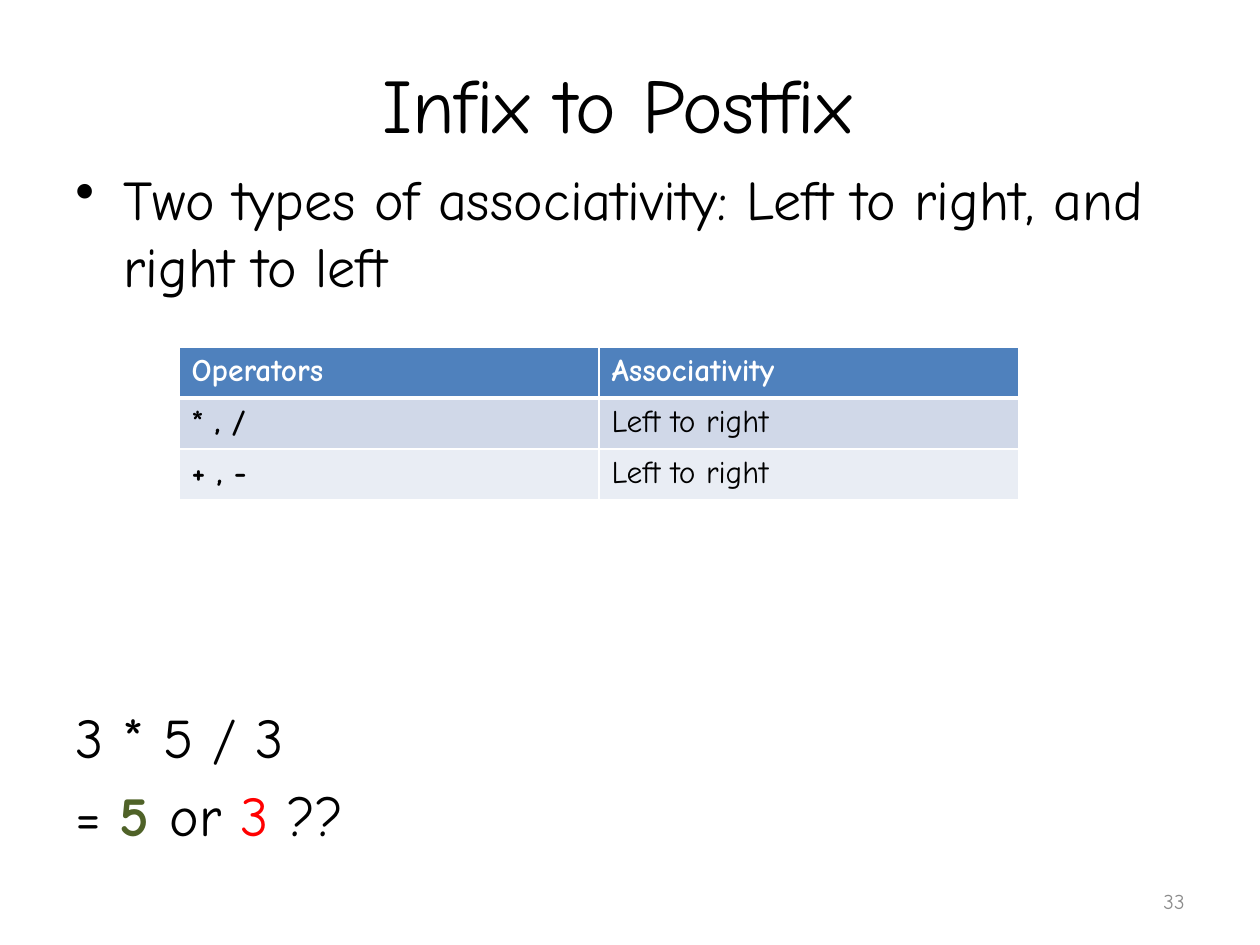
from dataclasses import dataclass

import lxml.etree
import pptx
import pptx.dml.color
import pptx.enum.text
import pptx.oxml.ns
import pptx.util

PX = 914400 // 126
FONT = "Comic Neue"
BLACK, WHITE = "000000", "FFFFFF"
ALIGN = pptx.enum.text.PP_ALIGN
ANCHOR = pptx.enum.text.MSO_ANCHOR


@dataclass
class Run:
    text: str
    color: str = BLACK
    bold: bool = False


@dataclass
class TextBox:
    left: int
    top: int
    width: int
    height: int
    size: int
    paragraphs: list[list[Run]]
    align: ALIGN = ALIGN.LEFT
    anchor: ANCHOR = ANCHOR.TOP
    space_before: float = 0
    bullet: bool = False


@dataclass
class TableRow:
    cells: list[Run]
    fill: str
    top_line: int = 1
    bottom_line: int = 1


def px(n: int) -> int:
    return n * PX


def rgb(color: str) -> pptx.dml.color.RGBColor:
    return pptx.dml.color.RGBColor.from_string(color)


def add_runs(p, runs: list[Run], size: int) -> None:
    p.font.name = FONT
    p.font.size = pptx.util.Pt(size)
    for run in runs:
        r = p.add_run()
        r.text = run.text
        r.font.name = FONT
        r.font.size = pptx.util.Pt(size)
        r.font.bold = run.bold
        r.font.color.rgb = rgb(run.color)


def add_bullet(p, indent: int) -> None:
    pPr = p._p.get_or_add_pPr()
    pPr.set("marL", str(px(indent)))
    pPr.set("indent", str(-px(indent)))
    bullet = lxml.etree.Element(pptx.oxml.ns.qn("a:buChar"), char="•")
    pPr.insert_element_before(bullet, "a:tabLst", "a:defRPr", "a:extLst")


def add_text(s, box: TextBox) -> None:
    sp = s.shapes.add_textbox(px(box.left), px(box.top), px(box.width), px(box.height))
    tf = sp.text_frame
    tf.word_wrap = True
    tf.vertical_anchor = box.anchor
    for i, runs in enumerate(box.paragraphs):
        p = tf.paragraphs[0] if i == 0 else tf.add_paragraph()
        p.alignment = box.align
        p.space_before = pptx.util.Pt(box.space_before)
        add_runs(p, runs, box.size)
        if box.bullet:
            add_bullet(p, 48)


def add_borders(cell, row: TableRow) -> None:
    qn = pptx.oxml.ns.qn
    tcPr = cell._tc.get_or_add_tcPr()
    widths = {"L": 1, "R": 1, "T": row.top_line, "B": row.bottom_line}
    for side, width in widths.items():
        ln = lxml.etree.SubElement(tcPr, qn(f"a:ln{side}"), w=str(pptx.util.Pt(width)))
        fill = lxml.etree.SubElement(ln, qn("a:solidFill"))
        lxml.etree.SubElement(fill, qn("a:srgbClr"), val=WHITE)


def add_operator_table(s, left: int, top: int, col_width: int, row_height: int,
                       rows: list[TableRow]) -> None:
    n_cols = len(rows[0].cells)
    table = s.shapes.add_table(len(rows), n_cols, px(left), px(top),
                               px(col_width * n_cols), px(row_height * len(rows))).table
    for col in table.columns:
        col.width = px(col_width)
    for i, row in enumerate(rows):
        table.rows[i].height = px(row_height)
        for j, run in enumerate(row.cells):
            cell = table.cell(i, j)
            add_borders(cell, row)
            cell.fill.solid()
            cell.fill.fore_color.rgb = rgb(row.fill)
            add_runs(cell.text_frame.paragraphs[0], [run], 18)


prs = pptx.Presentation()
prs.slide_width, prs.slide_height = px(1260), px(945)
s = prs.slides.add_slide(prs.slide_layouts[6])

# Title, bullet, worked example and page number
for box in [
    TextBox(63, 38, 1134, 130, 44, [[Run("Infix to Postfix ")]], ALIGN.CENTER, ANCHOR.MIDDLE),
    TextBox(63, 158, 1134, 150, 32,
            [[Run("Two types of associativity: Left to right, and right to left")]],
            space_before=6.4, bullet=True),
    TextBox(63, 696, 1134, 148, 32,
            [[Run("3 * 5 / 3")],
             [Run("= "), Run("5 ", "4F6228", True), Run("or "), Run("3 ", "FF0000"), Run("??")]],
            space_before=6.4),
    TextBox(903, 876, 294, 50, 12, [[Run("33", "8C8C8C")]], ALIGN.RIGHT, ANCHOR.MIDDLE),
]:
    add_text(s, box)

# Operator table
add_operator_table(s, 179, 347, 420, 51, [
    TableRow([Run("Operators", WHITE, True), Run("Associativity", WHITE, True)],
             "4F81BD", bottom_line=3),
    TableRow([Run("* , / ", bold=True), Run("Left to right")], "D0D8E8", top_line=3),
    TableRow([Run("+ , - ", bold=True), Run("Left to right")], "E9EDF4"),
])

prs.save("out.pptx")
